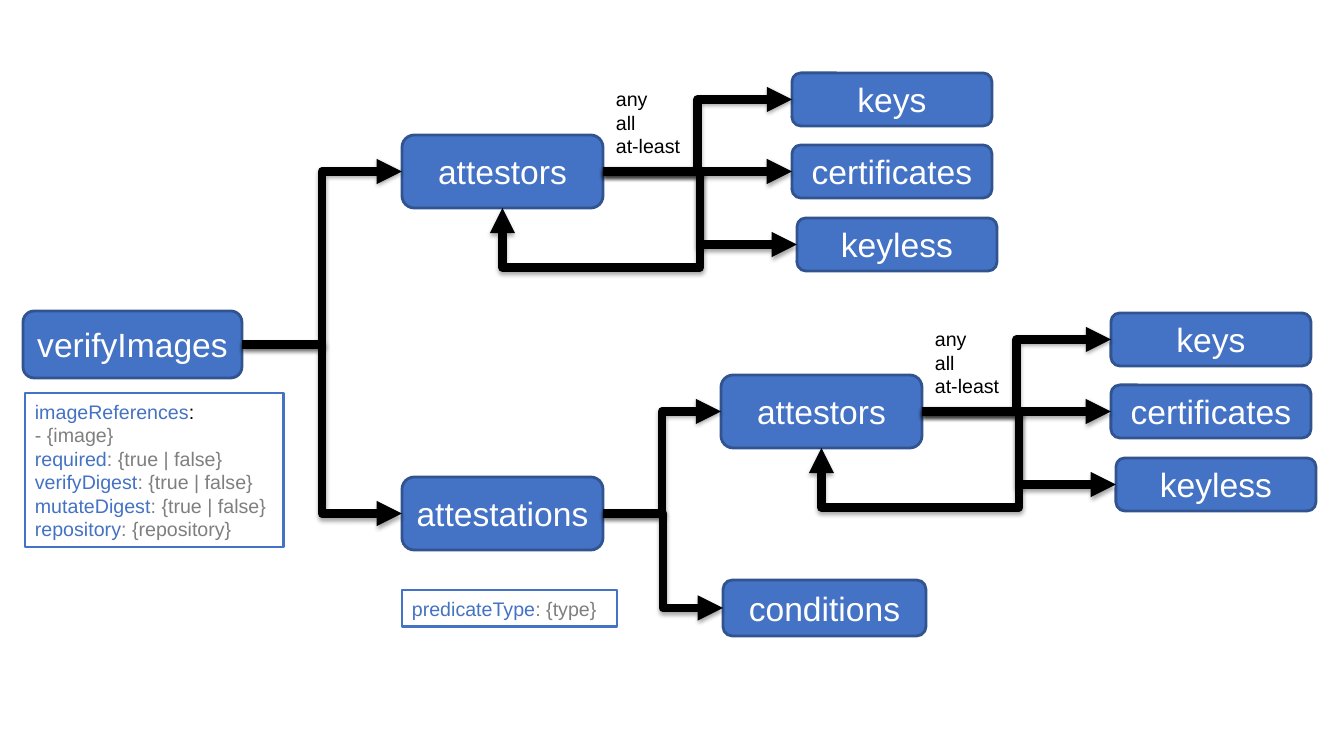
from lxml.etree import SubElement
from pptx import Presentation
from pptx.dml.color import RGBColor
from pptx.enum.shapes import MSO_CONNECTOR as Connector, MSO_SHAPE as Preset
from pptx.enum.text import MSO_ANCHOR as Anchor, MSO_AUTO_SIZE as AutoSize, PP_ALIGN as Align
from pptx.oxml import parse_xml
from pptx.oxml.ns import nsdecls, qn
from pptx.util import Emu, Pt

PX = 914400 / 100.8
SLIDE_SIZE = (1344, 756)
TOP, LEFT, BOTTOM, RIGHT = range(4)

NODES = {
    "root": ("verifyImages", (23, 311, 219, 67)),
    "attestations": ("attestations", (402, 477, 201, 73)),
    "conditions": ("conditions", (723, 580, 203, 56)),
}
GROUP_ORIGINS = {"image": (402, 135), "attestation": (721, 375)}
GROUP_NODES = {
    "attestors": ("attestors", (0, 0, 201, 73)),
    "keys": ("keys", (390, -62, 200, 53)),
    "certificates": ("certificates", (390, 10, 200, 53)),
    "keyless": ("keyless", (395, 83, 200, 53)),
}
GROUP_LABEL = (["any", "all", "at-least"], (204, -53, 85, 82))
LOOP_REACH = (97, 96)
LINKS = [
    ("root", "image attestors"),
    ("root", "attestations"),
    ("attestations", "attestation attestors"),
    ("attestations", "conditions"),
]
NOTES = [
    ((25, 393, 259, 154), [
        [[("imageReferences", "key"), (":", "ink")],
         [("- {image}", "value")]],
        [[("required", "key"), (": {true | false}", "value")],
         [("verifyDigest", "key"), (": {true | false}", "value")],
         [("mutateDigest", "key"), (": {true | false}", "value")]],
        [[("repository", "key"), (": {repository}", "value")]],
    ]),
    ((402, 590, 215, 37), [
        [[("predicateType", "key"), (": {type}", "value")]],
    ]),
]

THEME = {
    "font": "Arial",
    "node_size": Pt(24),
    "note_size": Pt(14),
    "outline": Pt(2),
    "arrow": Pt(6),
    "colors": {
        "node": RGBColor(0x44, 0x72, 0xC4),
        "edge": RGBColor(0x31, 0x53, 0x8F),
        "key": RGBColor(0x44, 0x72, 0xC4),
        "value": RGBColor(0x7F, 0x7F, 0x7F),
        "ink": RGBColor(0, 0, 0),
        "paper": RGBColor(255, 255, 255),
    },
}
COLORS = THEME["colors"]
SHADOW = (
    f'<a:effectLst {nsdecls("a")}><a:outerShdw blurRad="40000" dist="23000" '
    'dir="5400000" rotWithShape="0"><a:srgbClr val="000000">'
    '<a:alpha val="35000"/></a:srgbClr></a:outerShdw></a:effectLst>'
)


def apply(target, values):
    for name, value in values.items():
        setattr(target, name, value)


def scaled(box):
    return [Emu(round(length * PX)) for length in box]


def shifted(box, origin):
    return (box[0] + origin[0], box[1] + origin[1], *box[2:])


def write_run(paragraph, text, size, color):
    run = paragraph.add_run()
    run.text = text
    apply(run.font, {"name": THEME["font"], "size": size})
    run.font.color.rgb = COLORS[color]


def add_box(slide, preset, box, fill, edge):
    shape = slide.shapes.add_shape(preset, *scaled(box))
    shape.shadow.inherit = False
    shape.fill.solid()
    shape.fill.fore_color.rgb = COLORS[fill]
    shape.line.color.rgb = COLORS[edge]
    shape.line.width = THEME["outline"]
    apply(shape.text_frame, {"word_wrap": True, "vertical_anchor": Anchor.MIDDLE})
    return shape


def add_node(slide, text, box):
    shape = add_box(slide, Preset.ROUNDED_RECTANGLE, box, "node", "edge")
    paragraph = shape.text_frame.paragraphs[0]
    paragraph.alignment = Align.CENTER
    write_run(paragraph, text, THEME["node_size"], "paper")
    return shape


def next_paragraph(frame, index):
    return frame.add_paragraph() if index else frame.paragraphs[0]


def add_note(slide, box, blocks):
    frame = add_box(slide, Preset.RECTANGLE, box, "paper", "key").text_frame
    for index, lines in enumerate(blocks):
        paragraph = next_paragraph(frame, index)
        paragraph.alignment = Align.LEFT
        for position, runs in enumerate(lines):
            if position:
                paragraph.add_line_break()
            for text, color in runs:
                write_run(paragraph, text, THEME["note_size"], color)


def add_label(slide, lines, box):
    frame = slide.shapes.add_textbox(*scaled(box)).text_frame
    apply(frame, {"word_wrap": False, "auto_size": AutoSize.SHAPE_TO_FIT_TEXT})
    for index, line in enumerate(lines):
        write_run(next_paragraph(frame, index), line, THEME["note_size"], "ink")


def add_arrow(slide, source, target, side=LEFT, kind=Connector.ELBOW):
    connector = slide.shapes.add_connector(kind, 0, 0, 0, 0)
    connector.begin_connect(source, RIGHT)
    connector.end_connect(target, side)
    connector.line.color.rgb = COLORS["ink"]
    connector.line.width = THEME["arrow"]
    SubElement(connector.line._get_or_add_ln(), qn("a:tailEnd"), type="triangle")
    connector._element.spPr.append(parse_xml(SHADOW))
    return connector


def add_loop(slide, node):
    connector = add_arrow(slide, node, node, BOTTOM)
    geometry = connector._element.spPr.find(qn("a:prstGeom"))
    geometry.set("prst", "bentConnector4")
    guides = geometry.find(qn("a:avLst"))
    if guides is None:
        guides = SubElement(geometry, qn("a:avLst"))
    across, down = scaled(LOOP_REACH)
    ratios = (-across / connector.width, down / connector.height)
    for number, ratio in enumerate(ratios, 1):
        SubElement(guides, qn("a:gd"), name=f"adj{number}", fmla=f"val {round(ratio * 100000)}")


def add_group(slide, origin):
    nodes = {
        name: add_node(slide, text, shifted(box, origin))
        for name, (text, box) in GROUP_NODES.items()
    }
    attestors = nodes["attestors"]
    add_arrow(slide, attestors, nodes["keys"])
    add_arrow(slide, attestors, nodes["certificates"], kind=Connector.STRAIGHT)
    add_arrow(slide, attestors, nodes["keyless"])
    add_loop(slide, attestors)
    lines, box = GROUP_LABEL
    add_label(slide, lines, shifted(box, origin))
    return attestors


def main():
    presentation = Presentation()
    width, height = scaled(SLIDE_SIZE)
    apply(presentation, {"slide_width": width, "slide_height": height})
    slide = presentation.slides.add_slide(presentation.slide_layouts[6])
    nodes = {name: add_node(slide, text, box) for name, (text, box) in NODES.items()}
    for name, origin in GROUP_ORIGINS.items():
        nodes[f"{name} attestors"] = add_group(slide, origin)
    for source, target in LINKS:
        add_arrow(slide, nodes[source], nodes[target])
    for box, blocks in NOTES:
        add_note(slide, box, blocks)
    presentation.save("out.pptx")


if __name__ == "__main__":
    main()
